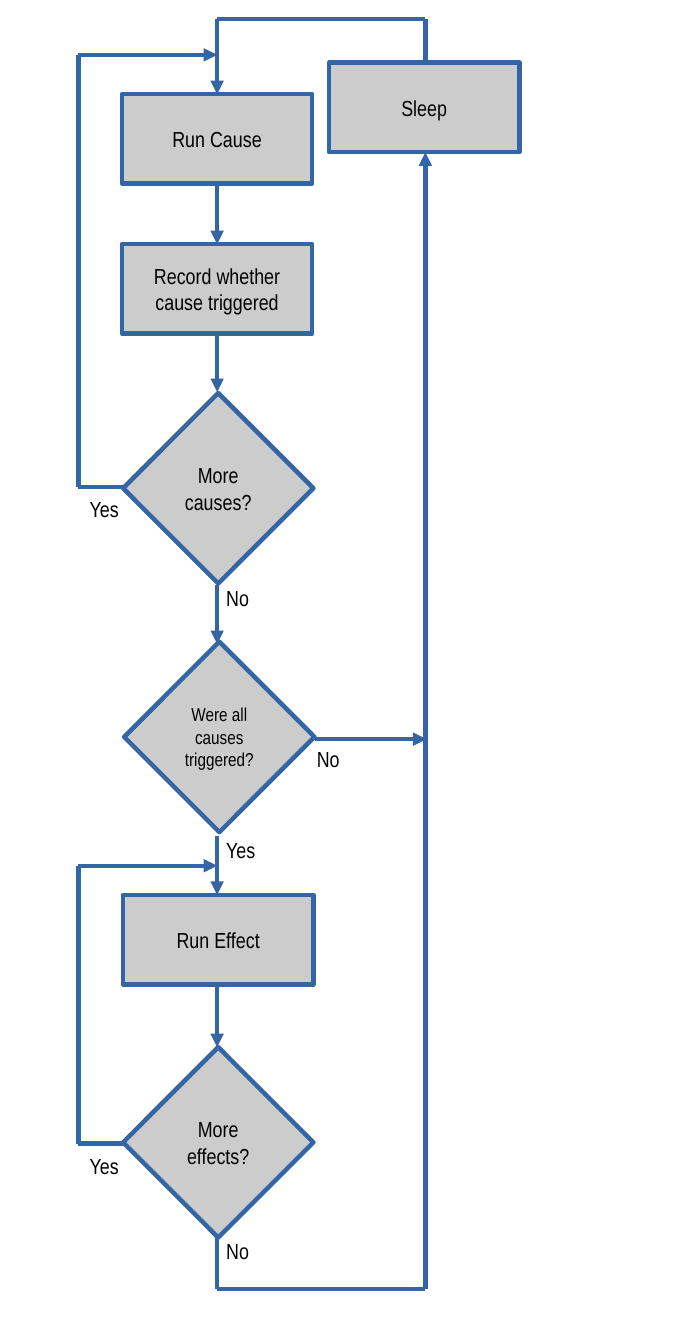
from itertools import pairwise

from lxml import etree
from pptx import Presentation
from pptx.dml.color import RGBColor
from pptx.enum.shapes import MSO_CONNECTOR, MSO_SHAPE
from pptx.enum.text import MSO_ANCHOR, PP_ALIGN
from pptx.oxml.ns import qn
from pptx.util import Inches, Pt

STEP = MSO_SHAPE.RECTANGLE
DECISION = MSO_SHAPE.DIAMOND
STRAIGHT = MSO_CONNECTOR.STRAIGHT
CENTER = PP_ALIGN.CENTER
MIDDLE = MSO_ANCHOR.MIDDLE

FONT = "Arial Narrow"
BLUE, GREY, BLACK = "3465A4", "CCCCCC", "000000"
NODE_WIDTH, STEP_HEIGHT, DECISION_HEIGHT = 1.7, 0.8, 1.7
LOOP_X, MAIN_X, RETURN_X = 0.7, 1.94, 3.8
TOP_Y, BOTTOM_Y = 0.17, 11.51

STEPS = [
    (1.09, 0.84, "Run Cause"),
    (1.09, 2.18, "Record whether cause triggered"),
    (1.1, 7.99, "Run Effect"),
    (2.94, 0.56, "Sleep"),
]
DECISIONS = [
    (1.1, 3.51, "More\ncauses?", 14),
    (1.11, 5.73, "Were all causes triggered?", 12),
    (1.1, 9.35, "More\neffects?", 14),
]
DOWN_ARROWS = [(1.64, 2.18), (2.97, 3.5), (5.22, 5.75), (7.46, 7.99), (8.81, 9.35)]
LOOPS = [(4.35, 0.49), (10.21, 7.73)]
ANSWERS = [
    (0.8, 4.43, "Yes"),
    (2.02, 5.22, "No"),
    (2.83, 6.66, "No"),
    (2.02, 7.47, "Yes"),
    (0.8, 10.29, "Yes"),
    (2.02, 11.05, "No"),
]


def color(hex_code):
    """Return the RGB colour for a hex string."""
    return RGBColor.from_string(hex_code)


def style_line(line):
    """Give an outline or connector the flowchart's blue stroke."""
    line.color.rgb = color(BLUE)
    line.width = Pt(2.89)


def write(frame, text, size, inset_x=0, inset_y=0):
    """Fill a text frame with one paragraph, breaking at newlines."""
    frame.word_wrap = True
    frame.margin_left = frame.margin_right = Inches(inset_x)
    frame.margin_top = frame.margin_bottom = Inches(inset_y)
    paragraph = frame.paragraphs[0]
    for index, words in enumerate(text.split("\n")):
        if index:
            paragraph.add_line_break()
        run = paragraph.add_run()
        run.text = words
        run.font.name = FONT
        run.font.size = Pt(size)
        run.font.color.rgb = color(BLACK)
    return paragraph


def add_node(slide, kind, box, text, size=14, insets=(0, 0)):
    """Add a grey flowchart node with centred text."""
    node = slide.shapes.add_shape(kind, *map(Inches, box))
    node.shadow.inherit = False
    node.fill.solid()
    node.fill.fore_color.rgb = color(GREY)
    style_line(node.line)
    node.text_frame.vertical_anchor = MIDDLE
    write(node.text_frame, text, size, *insets).alignment = CENTER


def add_route(slide, *points):
    """Join points with straight connectors and end in an arrowhead."""
    for start, end in pairwise(points):
        segment = slide.shapes.add_connector(STRAIGHT, *map(Inches, start + end))
        style_line(segment.line)
        properties = segment._element.spPr
        etree.SubElement(properties, qn("a:effectLst"))
    stroke = properties.find(qn("a:ln"))
    etree.SubElement(stroke, qn("a:tailEnd"), type="triangle")


def add_answer(slide, box, text):
    """Add a Yes or No label beside a branch."""
    label = slide.shapes.add_textbox(*map(Inches, box))
    write(label.text_frame, text, 14)


def add_routes(slide):
    """Add the main flow, both loops and the return through Sleep."""
    for start, end in DOWN_ARROWS:
        add_route(slide, (MAIN_X, start), (MAIN_X, end))
    for start, end in LOOPS:
        add_route(slide, (1.1, start), (LOOP_X, start), (LOOP_X, end), (MAIN_X, end))
    add_route(slide, (MAIN_X, 11.05), (MAIN_X, BOTTOM_Y), (RETURN_X, BOTTOM_Y), (RETURN_X, 1.36))
    add_route(slide, (RETURN_X, 0.57), (RETURN_X, TOP_Y), (MAIN_X, TOP_Y), (MAIN_X, 0.84))
    add_route(slide, (2.81, 6.6), (3.81, 6.6))


def add_flowchart(slide):
    """Place every node, route and answer of the flowchart."""
    for left, top, text in STEPS:
        add_node(slide, STEP, (left, top, NODE_WIDTH, STEP_HEIGHT), text, insets=(0.12, 0.07))
    for left, top, text, size in DECISIONS:
        add_node(slide, DECISION, (left, top, NODE_WIDTH, DECISION_HEIGHT), text, size)
    add_routes(slide)
    for left, top, text in ANSWERS:
        add_answer(slide, (left, top, 0.45, 0.27), text)


def main():
    """Build and save the one-slide presentation."""
    presentation = Presentation()
    presentation.slide_width = Inches(6.2)
    presentation.slide_height = Inches(12)
    slide = presentation.slides.add_slide(presentation.slide_layouts[6])
    add_flowchart(slide)
    presentation.save("out.pptx")


if __name__ == "__main__":
    main()
